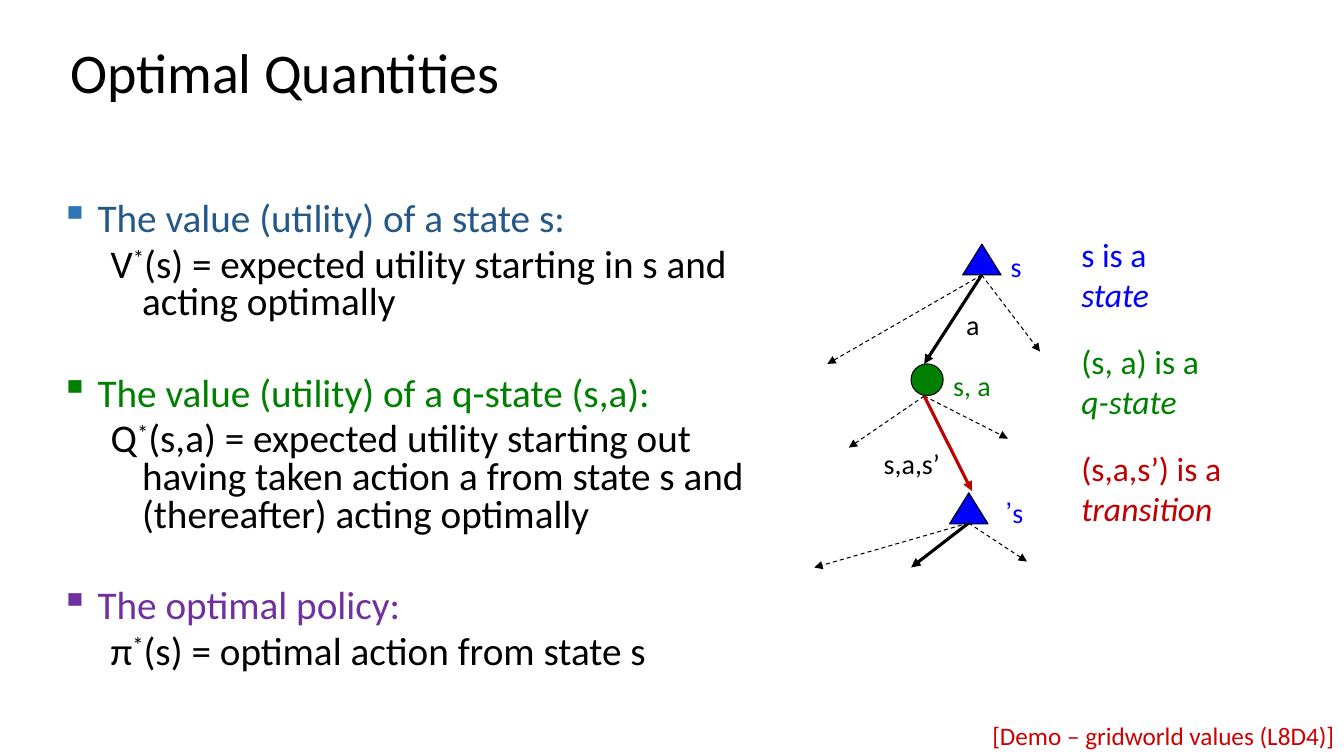
from lxml import etree
from pptx import Presentation
from pptx.dml.color import RGBColor
from pptx.enum.dml import MSO_LINE_DASH_STYLE as Dash
from pptx.enum.shapes import MSO_CONNECTOR, MSO_SHAPE
from pptx.enum.text import PP_ALIGN
from pptx.oxml.ns import qn
from pptx.util import Cm, Pt

BLACK, BLUE, GREEN, RED = "000000", "0000FF", "008000", "C00000"

# Heading, heading colour, bullet colour, symbol, definition
QUANTITIES = [
    ("The value (utility) of a state s:", "235888", "2E75B5",
     "V", "(s) = expected utility starting in s and acting optimally"),
    ("The value (utility) of a q-state (s,a):", GREEN, GREEN,
     "Q", "(s,a) = expected utility starting out having taken action a "
     "from state s and (thereafter) acting optimally"),
    ("The optimal policy:", "7030A0", "7030A0",
     "π", "(s) = optimal action from state s"),
]

# Start of each fan of arrows, then (end, colour, is the chosen branch)
BRANCHES = [
    ((24.74, 6.93), [((20.85, 9.17), BLACK, False),
                     ((23.29, 9.17), BLACK, True),
                     ((26.21, 8.86), BLACK, False)]),
    ((23.29, 9.98), [((21.39, 11.28), BLACK, False),
                     ((25.4, 11.05), BLACK, False),
                     ((24.49, 12.37), RED, True)]),
    ((24.41, 13.18), [((20.52, 14.3), BLACK, False),
                      ((22.96, 14.3), BLACK, True),
                      ((25.88, 14.15), BLACK, False)]),
]

NODE_LABELS = [
    ("a", 24.1, 7.62, 0.81, BLACK),
    ("s", 25.22, 6.15, 0.81, BLUE),
    ("s, a", 23.77, 9.17, 1.63, GREEN),
    ("s,a,s’", 22.02, 11.13, 2.29, BLACK),
]

LEGEND = [
    ("s is a ", "state", 2.92, BLUE),
    ("(s, a) is a ", "q-state", 3.61, GREEN),
    ("(s,a,s’) is a \v", "transition", 6.02, RED),
]


def rgb(code):
    return RGBColor.from_string(code)


def style_run(run, size, color):
    run.font.name = "Calibri"
    run.font.size = Pt(size)
    run.font.color.rgb = rgb(color)


def add_styled_run(paragraph, text, size, color):
    run = paragraph.add_run()
    run.text = text
    style_run(run, size, color)
    return run


def add_text(slide, text, left, top, width, height, size, color):
    """Add a wrapping text box and return its first paragraph."""
    frame = slide.shapes.add_textbox(
        Cm(left), Cm(top), Cm(width), Cm(height)).text_frame
    frame.word_wrap = True
    frame.text = text
    paragraph = frame.paragraphs[0]
    for run in paragraph.runs:
        style_run(run, size, color)
    return paragraph


def set_indent(paragraph, margin, hanging, bullet_color=None):
    props = paragraph._p.get_or_add_pPr()
    props.set("marL", str(Cm(margin)))
    props.set("indent", str(-Cm(hanging)))
    if bullet_color:
        bullet_fill = etree.SubElement(props, qn("a:buClr"))
        etree.SubElement(bullet_fill, qn("a:srgbClr"), val=bullet_color)
        etree.SubElement(props, qn("a:buChar"), char="▪")
    else:
        etree.SubElement(props, qn("a:buNone"))


def add_quantities(slide):
    first = add_text(slide, "", 1.27, 4.98, 18.62, 12.4, 28, BLACK)
    frame = slide.shapes[-1].text_frame
    for index, (heading, color, bullet, symbol, meaning) in enumerate(QUANTITIES):
        title = frame.add_paragraph() if index else first
        set_indent(title, 0.94, 0.94, bullet)
        title.line_spacing = 0.8
        title.space_before = Pt(38.5 if index else 0)
        add_styled_run(title, heading, 28, color)

        definition = frame.add_paragraph()
        definition.level = 1
        set_indent(definition, 2.06, 0.79)
        definition.line_spacing = 0.8
        definition.space_before = Pt(5.6)
        add_styled_run(definition, symbol, 28, BLACK)
        star = add_styled_run(definition, "*", 28, BLACK)
        star.font._element.set("baseline", "30000")
        add_styled_run(definition, meaning, 28, BLACK)


def add_node(slide, kind, left, top, width, height, color):
    node = slide.shapes.add_shape(kind, Cm(left), Cm(top), Cm(width), Cm(height))
    node.shadow.inherit = False
    node.fill.solid()
    node.fill.fore_color.rgb = rgb(color)
    node.line.color.rgb = rgb(BLACK)
    node.line.width = Pt(0.75)


def add_branch(slide, start, end, color, chosen):
    """Draw an arrow: solid and thick if chosen, otherwise thin and dashed."""
    arrow = slide.shapes.add_connector(
        MSO_CONNECTOR.STRAIGHT, *map(Cm, start), *map(Cm, end))
    arrow.line.color.rgb = rgb(color)
    arrow.line.width = Pt(2.25 if chosen else 0.75)
    if not chosen:
        arrow.line.dash_style = Dash.DASH
    etree.SubElement(arrow.line._get_or_add_ln(), qn("a:tailEnd"), type="triangle")
    etree.SubElement(arrow._element.spPr, qn("a:effectLst"))


def add_search_tree(slide):
    for left, top in [(24.26, 6.15), (23.93, 12.42)]:
        add_node(slide, MSO_SHAPE.ISOSCELES_TRIANGLE, left, top, 0.97, 0.78, BLUE)
    add_node(slide, MSO_SHAPE.OVAL, 22.96, 9.17, 0.81, 0.8, GREEN)
    for start, ends in BRANCHES:
        for end, color, chosen in ends:
            add_branch(slide, start, end, color, chosen)
    for text, left, top, width, color in NODE_LABELS:
        add_text(slide, text, left, top, width, 1.12, 20, color)
    next_state = add_text(slide, "s’", 24.97, 12.37, 1.07, 1.12, 20, BLUE)
    next_state.alignment = PP_ALIGN.RIGHT
    next_state._p.get_or_add_pPr().set("rtl", "1")


def add_legend(slide):
    for row, (notation, term, width, color) in enumerate(LEGEND):
        entry = add_text(slide, notation, 27, 5.77 + 2.69 * row, width, 2.31, 24, color)
        add_styled_run(entry, term, 24, color).font.italic = True


def main():
    deck = Presentation()
    deck.slide_width, deck.slide_height = Cm(33.87), Cm(19.05)
    slide = deck.slides.add_slide(deck.slide_layouts[6])
    heading = add_text(slide, "Optimal Quantities", 1.52, 1.02, 29.21, 1.75, 40, BLACK)
    heading.line_spacing = 0.9
    add_quantities(slide)
    add_search_tree(slide)
    add_legend(slide)
    demo = add_text(slide, "[Demo – gridworld values (L8D4)]",
                    16.31, 18.03, 17.57, 1.02, 18, "CC0000")
    demo.alignment = PP_ALIGN.RIGHT
    deck.save("out.pptx")


if __name__ == "__main__":
    main()
